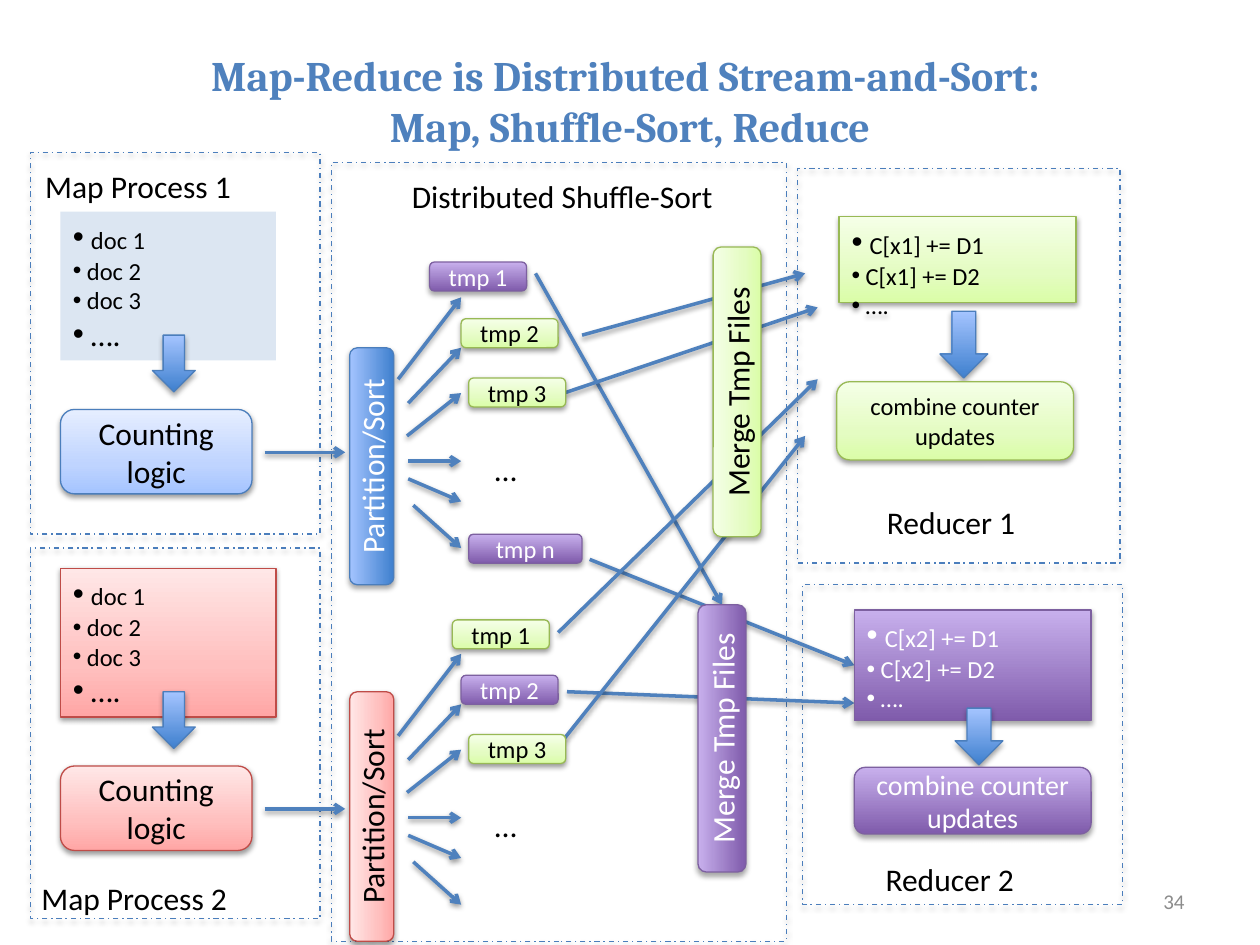
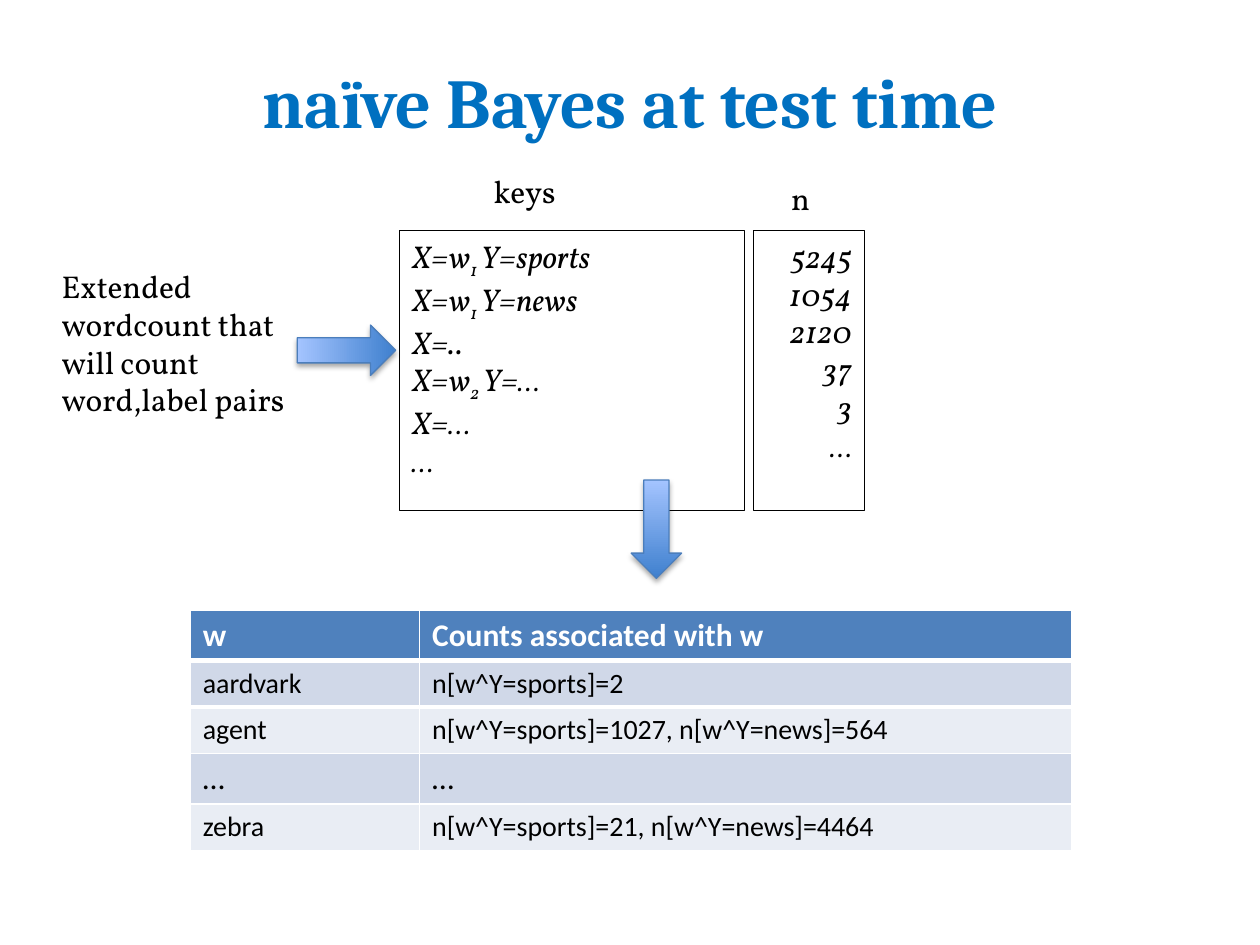
from lxml import etree
from pptx import Presentation
from pptx.dml.color import RGBColor
from pptx.enum.dml import MSO_LINE
from pptx.enum.shapes import MSO_CONNECTOR, MSO_SHAPE
from pptx.enum.text import MSO_ANCHOR, PP_ALIGN
from pptx.oxml.ns import qn
from pptx.util import Inches, Pt

RECT, ROUND, DOWN = MSO_SHAPE.RECTANGLE, MSO_SHAPE.ROUNDED_RECTANGLE, MSO_SHAPE.DOWN_ARROW
LEFT, CENTER, RIGHT = PP_ALIGN.LEFT, PP_ALIGN.CENTER, PP_ALIGN.RIGHT
TOP, MIDDLE = MSO_ANCHOR.TOP, MSO_ANCHOR.MIDDLE
DASH_DOT, STRAIGHT = MSO_LINE.DASH_DOT, MSO_CONNECTOR.STRAIGHT

BLACK = RGBColor(0x00, 0x00, 0x00)
WHITE = RGBColor(0xFF, 0xFF, 0xFF)
GRAY = RGBColor(0x8C, 0x8C, 0x8C)
ACCENT = RGBColor(0x4F, 0x81, 0xBD)
TITLE_BLUE = RGBColor(0x00, 0x70, 0xC0)
EDGE_BLUE = RGBColor(0x4B, 0x7E, 0xBC)
EDGE_RED = RGBColor(0xBF, 0x4C, 0x48)
EDGE_GREEN = RGBColor(0x98, 0xB9, 0x55)
EDGE_PURPLE = RGBColor(0x7D, 0x60, 0xA0)
MIST = RGBColor(0xDC, 0xE6, 0xF2)
ROW_FILLS = RGBColor(0xE9, 0xED, 0xF4), RGBColor(0xD0, 0xD8, 0xE8)

BODY, HEADING, SERIF = "Calibri", "Cambria", "Vollkorn"
STRONG_SHADOW, SOFT_SHADOW = (35, 1.8), (38, 1.6)

STYLES = {
    "blue": (((0, "3F80CE"), (100, "A4C4FF")), EDGE_BLUE, WHITE, STRONG_SHADOW),
    "sky": (((0, "A4C4FF"), (35, "BFD4FF"), (100, "E6EEFF")), EDGE_BLUE, BLACK, SOFT_SHADOW),
    "red": (((0, "FFA6A5"), (35, "FFC0BF"), (100, "FFE7E7")), EDGE_RED, BLACK, SOFT_SHADOW),
    "green": (((0, "DAFDA7"), (35, "E4FCC2"), (100, "F5FFE7")), EDGE_GREEN, BLACK, SOFT_SHADOW),
    "purple": (((0, "7F5BAB"), (100, "C8B0ED")), EDGE_PURPLE, WHITE, STRONG_SHADOW),
    "mist": (MIST, None, BLACK, None),
    "panel": (None, EDGE_BLUE, BLACK, STRONG_SHADOW),
    "outline": (None, BLACK, BLACK, None),
}

TITLE_AT = (0.5, 0.3, 9, 0.99)
BIG, SUB = {"sz": "1800"}, {"baseline": "-25000"}
PROCESS_STEP = 2.83

PANELS = [(0.24, 1.21, 2.3, 3.03), (0.24, 4.35, 2.3, 2.94), (2.63, 1.29, 3.61, 6.18),
          (6.33, 1.34, 2.56, 3.13), (6.37, 4.64, 2.54, 2.54)]
LABELS = [("Map Process 1", (0.26, 1.28, 2.51, 0.4)), ("Map Process 2", (0.23, 6.93, 2.51, 0.4)),
          ("Distributed Shuffle-Sort", (3.17, 1.36, 2.88, 0.4)),
          ("Reducer 1", (6.94, 3.94, 1.32, 0.4)), ("Reducer 2", (6.93, 6.78, 1.32, 0.4))]
DOCS = [[(" ", BIG), ("doc 1", {})], " doc 2", " doc 3", [(" ….", BIG)]]
PROCESSES = [("mist", "sky"), ("red", "red")]
PARTITION_ARROWS = [(2.1, 3.59, 2.74, 3.59),
                    (3.16, 3.01, 3.66, 2.36), (3.24, 3.2, 3.66, 2.76), (3.23, 3.46, 3.66, 3.12),
                    (3.24, 3.66, 3.66, 3.66), (3.24, 3.8, 3.66, 3.98), (3.28, 4.01, 3.66, 4.35)]
BARS = [("Partition/Sort", "blue", 2.95, 3.7, 1.88, 0.35),
        ("Partition/Sort", "red", 2.95, 6.48, 1.98, 0.35),
        ("Merge Tmp Files", "green", 5.85, 3.11, 2.3, 0.38),
        ("Merge Tmp Files", "purple", 5.73, 5.86, 2.12, 0.38)]
TMP_FILES = [("tmp 1", "purple", 3.41, 2.08, 0.77), ("tmp 2", "green", 3.66, 2.53, 0.77),
             ("tmp 3", "green", 3.72, 3, 0.77), ("tmp n", "purple", 3.72, 4.24, 0.9),
             ("tmp 1", "green", 3.59, 4.92, 0.77), ("tmp 2", "purple", 3.66, 5.36, 0.77),
             ("tmp 3", "green", 3.72, 5.83, 0.77)]
SHUFFLE_ARROWS = {
    "tmp 1 to merge": (4.25, 2.17, 5.73, 4.8),
    "tmp 2 to reducer 1": (4.62, 2.66, 6.39, 2.17),
    "tmp 3 to reducer 1": (4.49, 3.12, 6.49, 2.44),
    "tmp n to reducer 2": (4.68, 4.44, 6.78, 5.28),
    "second tmp 1 to reducer 1": (4.43, 5.02, 6.49, 3.01),
    "second tmp 2 to reducer 2": (4.5, 5.49, 6.78, 5.58),
    "second tmp 3 to reducer 1": (4.48, 5.86, 6.39, 3.46),
}
REDUCERS = [
    ("green", "x1", (6.66, 1.72, 1.88, 0.68), (7.46, 2.47, 0.38, 0.53), (6.64, 3.03, 1.88, 0.62), 14),
    ("purple", "x2", (6.78, 4.84, 1.88, 0.88), (7.58, 5.62, 0.38, 0.45), (6.78, 6.09, 1.88, 0.53), 16),
]

KEYS = [[("X=w", {}), ("1 ", SUB), ("Y=sports", {})], [("X=w", {}), ("1 ", SUB), ("Y=news", {})],
        "X=..", [("X=w", {}), ("2 ", SUB), ("Y=…", {})], "X=…", "…"]
COUNTS = ["5245", "1054", "2120", "37", "3", "…"]
CAPTIONS = [("keys", (3.82, 1.32, 2.38, 0.4)), ("n", (6.18, 1.37, 2.38, 0.4)),
            ("Extended wordcount that will count word,label pairs", (0.39, 2.07, 2.1, 1.31))]
TABLE = [("w", "Counts associated with w"), ("aardvark", "n[w^Y=sports]=2"),
         ("agent", "n[w^Y=sports]=1027, n[w^Y=news]=564"), ("…", "…"),
         ("zebra", "n[w^Y=sports]=21, n[w^Y=news]=4464")]
TABLE_COLUMNS = (1.82, 5.18)
TABLE_ROWS = (0.39, 0.37, 0.37, 0.39, 0.37)


def inches(values):
    return [Inches(value) for value in values]


def child(parent, tag, **attributes):
    return etree.SubElement(parent, qn(tag), attributes)


def write(frame, paragraphs, size=18, color=BLACK, font=BODY, align=LEFT, anchor=TOP,
          bold=False, italic=False, bullets=False):
    frame.word_wrap = True
    frame.vertical_anchor = anchor
    for index, content in enumerate(paragraphs):
        para = frame.paragraphs[0] if index == 0 else frame.add_paragraph()
        if bullets:
            properties = para._p.get_or_add_pPr()
            child(properties, "a:buFont", typeface="Arial")
            child(properties, "a:buChar", char="•")
        para.alignment = align
        para.font.size, para.font.name = Pt(size), font
        para.font.bold, para.font.italic = bold, italic
        para.font.color.rgb = color
        if isinstance(content, str):
            para.text = content
            continue
        for text, attributes in content:
            span = para.add_run()
            span.text = text
            for name, value in attributes.items():
                span._r.get_or_add_rPr().set(name, value)


def add_shadow(effects, opacity, distance):
    shadow = child(effects, "a:outerShdw", blurRad=str(Pt(3.1)), dist=str(Pt(distance)),
                   dir="5400000", rotWithShape="0")
    child(child(shadow, "a:srgbClr", val="000000"), "a:alpha", val=str(opacity * 1000))


def fill_gradient(shape, stops):
    shape.fill.background()
    properties = shape.element.spPr
    gradient = etree.Element(qn("a:gradFill"), rotWithShape="1")
    stop_list = child(gradient, "a:gsLst")
    for position, color in stops:
        child(child(stop_list, "a:gs", pos=str(position * 1000)), "a:srgbClr", val=color)
    child(gradient, "a:lin", ang="16200000", scaled="0")
    properties.replace(properties.find(qn("a:noFill")), gradient)


def add_box(page, kind, at, style, paragraphs=(), rotation=0, **text):
    fill, edge, color, shadow = STYLES[style]
    box = page.shapes.add_shape(kind, *inches(at))
    box.rotation = rotation
    if fill is None:
        box.fill.background()
    elif isinstance(fill, RGBColor):
        box.fill.solid()
        box.fill.fore_color.rgb = fill
    else:
        fill_gradient(box, fill)
    if edge is None:
        box.line.fill.background()
    else:
        box.line.color.rgb = edge
        box.line.width = Pt(0.75)
    box.shadow.inherit = False
    if shadow:
        add_shadow(box.element.spPr.find(qn("a:effectLst")), *shadow)
    write(box.text_frame, paragraphs, color=color, **text)
    return box


def add_label(page, text, at, **style):
    write(page.shapes.add_textbox(*inches(at)).text_frame, [text], **style)


def add_title(page, text, size, color):
    add_label(page, text, TITLE_AT, size=size, color=color, font=HEADING,
              align=CENTER, anchor=MIDDLE, bold=True)


def add_arrow(page, ends):
    arrow = page.shapes.add_connector(STRAIGHT, *inches(ends))
    arrow.line.color.rgb = ACCENT
    arrow.line.width = Pt(2)
    properties = arrow.element.spPr
    child(properties.find(qn("a:ln")), "a:tailEnd", type="arrow")
    add_shadow(child(properties, "a:effectLst"), *SOFT_SHADOW)
    return arrow


def build_map_reduce(page):
    add_title(page, "Map-Reduce is Distributed Stream-and-Sort: \vMap, Shuffle-Sort, Reduce", 24, ACCENT)
    for at in PANELS:
        add_box(page, RECT, at, "panel").line.dash_style = DASH_DOT
    arrows = {name: add_arrow(page, ends) for name, ends in SHUFFLE_ARROWS.items()}

    for index, (docs_style, logic_style) in enumerate(PROCESSES):
        drop = index * PROCESS_STEP
        for x1, y1, x2, y2 in PARTITION_ARROWS:
            add_arrow(page, (x1, y1 + drop, x2, y2 + drop))
        add_box(page, RECT, (0.48, 1.68 + drop, 1.71, 1.18), docs_style, DOCS, size=14, bullets=True)
        add_box(page, DOWN, (1.21, 2.66 + drop, 0.34, 0.45), "blue")
        add_box(page, ROUND, (0.48, 3.25 + drop, 1.52, 0.67), logic_style, ["Counting logic"],
                align=CENTER, anchor=MIDDLE)
        add_label(page, "…", (3.83, 3.52 + drop, 0.42, 0.27))

    bars = [add_box(page, ROUND, (x - length / 2, y - depth / 2, length, depth), style, [text],
                    rotation=270, align=CENTER, anchor=MIDDLE)
            for text, style, x, y, length, depth in BARS]
    files = [add_box(page, ROUND, (x, y, width, 0.23), style, [text],
                     size=14, align=CENTER, anchor=MIDDLE)
             for text, style, x, y, width in TMP_FILES]

    counters = []
    for style, key, counts_at, arrow_at, combine_at, size in REDUCERS:
        updates = [[(" ", BIG), (f"C[{key}] += D1", {})], f" C[{key}] += D2", " …."]
        counters.append(add_box(page, RECT, counts_at, style, updates, size=14, bullets=True))
        add_box(page, DOWN, arrow_at, "blue")
        add_box(page, ROUND, combine_at, style, ["combine counter updates"],
                size=size, align=CENTER, anchor=MIDDLE)

    arrows["tmp 3 to reducer 1"].begin_connect(files[2], 3)
    arrows["tmp n to reducer 2"].end_connect(counters[1], 1)
    merge_arrow = arrows["tmp 1 to merge"]
    merge_arrow.end_connect(bars[3], 3)
    merge_arrow.end_x, merge_arrow.end_y = inches(SHUFFLE_ARROWS["tmp 1 to merge"][2:])

    for text, at in LABELS:
        add_label(page, text, at)
    add_label(page, "34", (7.17, 6.95, 2.33, 0.4), size=12, color=GRAY, align=RIGHT, anchor=MIDDLE)


def build_naive_bayes(page):
    add_title(page, "naïve Bayes at test time", 40, TITLE_BLUE)
    add_box(page, RECT, (3.17, 1.83, 2.74, 2.22), "outline", KEYS, font=SERIF, italic=True)
    add_box(page, RECT, (5.98, 1.83, 0.88, 2.22), "outline", COUNTS, font=SERIF, italic=True, align=RIGHT)
    for text, at in CAPTIONS:
        add_label(page, text, at, font=SERIF)
    add_box(page, DOWN, (5.01, 3.81, 0.4, 0.78), "blue")
    add_box(page, DOWN, (2.55, 2.39, 0.4, 0.78), "blue", rotation=270)

    at = (1.51, 4.84, sum(TABLE_COLUMNS), sum(TABLE_ROWS))
    table = page.shapes.add_table(len(TABLE), len(TABLE_COLUMNS), *inches(at)).table
    for column, width in zip(table.columns, TABLE_COLUMNS):
        column.width = Inches(width)
    for index, texts in enumerate(TABLE):
        header = index == 0
        table.rows[index].height = Inches(TABLE_ROWS[index])
        for cell, text in zip(table.rows[index].cells, texts):
            if index < 2:
                border = child(cell._tc.get_or_add_tcPr(), "a:lnB" if header else "a:lnT", w=str(Pt(3)))
                child(child(border, "a:solidFill"), "a:srgbClr", val=str(WHITE))
            cell.fill.solid()
            cell.fill.fore_color.rgb = ACCENT if header else ROW_FILLS[index % 2]
            write(cell.text_frame, [text], size=18 if header or text == "…" else 16,
                  color=WHITE if header else BLACK, bold=header)


def main():
    deck = Presentation()
    deck.slide_width, deck.slide_height = Inches(10), Inches(7.5)
    for build in (build_map_reduce, build_naive_bayes):
        build(deck.slides.add_slide(deck.slide_layouts[6]))
    deck.save("out.pptx")


if __name__ == "__main__":
    main()
